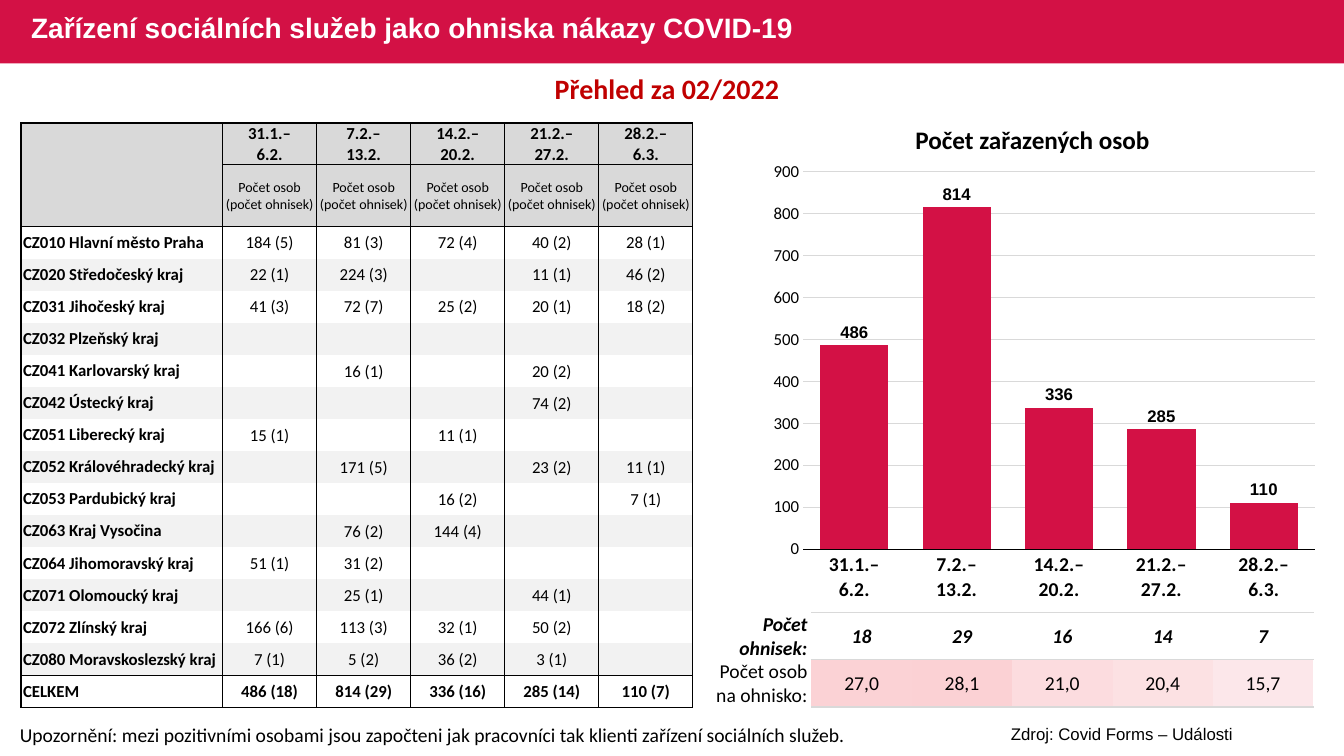
"""Build a slide on COVID-19 outbreaks in Czech social care facilities."""
from copy import deepcopy
from dataclasses import dataclass

from lxml import etree
from pptx import Presentation
from pptx.chart.data import CategoryChartData
from pptx.dml.color import RGBColor
from pptx.enum.chart import XL_CHART_TYPE, XL_LABEL_POSITION, XL_TICK_MARK
from pptx.enum.shapes import MSO_SHAPE
from pptx.enum.text import MSO_ANCHOR, MSO_AUTO_SIZE, PP_ALIGN
from pptx.oxml.ns import qn
from pptx.util import Cm, Pt

COLUMNS = XL_CHART_TYPE.COLUMN_CLUSTERED
OUTSIDE = XL_LABEL_POSITION.OUTSIDE_END
NO_TICK = XL_TICK_MARK.NONE
RECT = MSO_SHAPE.RECTANGLE
MIDDLE = MSO_ANCHOR.MIDDLE
NO_FIT = MSO_AUTO_SIZE.NONE
LEFT, CENTER, RIGHT = PP_ALIGN.LEFT, PP_ALIGN.CENTER, PP_ALIGN.RIGHT
PLAIN_TABLE = "{2D5ABB26-0587-4C30-8999-92F81FD0307C}"


@dataclass(frozen=True)
class Theme:
    red: str = "D31145"
    dark_red: str = "C00000"
    black: str = "000000"
    white: str = "FFFFFF"
    header: str = "D9D9D9"
    band: str = "F2F2F2"
    grid: str = "D9D9D9"
    body: str = "Calibri"
    heading: str = "Arial"
    title: int = 20
    subtitle: int = 18
    normal: int = 14
    small: int = 12
    tiny: int = 10


@dataclass(frozen=True)
class Box:
    left: float
    top: float
    width: float
    height: float

    def emu(self) -> tuple:
        return Cm(self.left), Cm(self.top), Cm(self.width), Cm(self.height)


@dataclass(frozen=True)
class Week:
    period: str
    persons: int
    outbreaks: int
    shade: str


@dataclass(frozen=True)
class Region:
    name: str
    counts: tuple


T = Theme()
WEEKS = [
    Week("31.1.–\n6.2.", 486, 18, "FBD2D5"),
    Week("7.2.–\n13.2.", 814, 29, "FBD1D4"),
    Week("14.2.–\n20.2.", 336, 16, "FCDCDF"),
    Week("21.2.–\n27.2.", 285, 14, "FCE1E3"),
    Week("28.2.–\n6.3.", 110, 7, "FCE7EA"),
]
REGIONS = [
    Region("CZ010 Hlavní město Praha", ("184 (5)", "81 (3)", "72 (4)", "40 (2)", "28 (1)")),
    Region("CZ020 Středočeský kraj", ("22 (1)", "224 (3)", "", "11 (1)", "46 (2)")),
    Region("CZ031 Jihočeský kraj", ("41 (3)", "72 (7)", "25 (2)", "20 (1)", "18 (2)")),
    Region("CZ032 Plzeňský kraj", ("", "", "", "", "")),
    Region("CZ041 Karlovarský kraj", ("", "16 (1)", "", "20 (2)", "")),
    Region("CZ042 Ústecký kraj", ("", "", "", "74 (2)", "")),
    Region("CZ051 Liberecký kraj", ("15 (1)", "", "11 (1)", "", "")),
    Region("CZ052 Královéhradecký kraj", ("", "171 (5)", "", "23 (2)", "11 (1)")),
    Region("CZ053 Pardubický kraj", ("", "", "16 (2)", "", "7 (1)")),
    Region("CZ063 Kraj Vysočina", ("", "76 (2)", "144 (4)", "", "")),
    Region("CZ064 Jihomoravský kraj", ("51 (1)", "31 (2)", "", "", "")),
    Region("CZ071 Olomoucký kraj", ("", "25 (1)", "", "44 (1)", "")),
    Region("CZ072 Zlínský kraj", ("166 (6)", "113 (3)", "32 (1)", "50 (2)", "")),
    Region("CZ080 Moravskoslezský kraj", ("7 (1)", "5 (2)", "36 (2)", "3 (1)", "")),
]


def rgb(color: str) -> RGBColor:
    return RGBColor.from_string(color)


def set_font(font, size: int, color: str = T.black, bold: bool = False,
             italic: bool = False, name: str = T.body) -> None:
    font.name, font.size, font.bold, font.italic = name, Pt(size), bold, italic
    font.color.rgb = rgb(color)


def write(tf, text: str, align=LEFT, **fmt) -> None:
    p = tf.paragraphs[0]
    p.alignment = align
    p.text = text.replace("\n", "\v")
    for r in p.runs:
        set_font(r.font, **fmt)
    for br in p._p.findall(qn("a:br")):
        br.insert(0, deepcopy(p.runs[0]._r.rPr))


def add_text(s, box: Box, text: str, **fmt) -> None:
    tf = s.shapes.add_textbox(*box.emu()).text_frame
    tf.word_wrap = True
    write(tf, text, **fmt)


def add_title(s, box: Box, band: Box, text: str) -> None:
    sp = s.shapes.add_shape(RECT, *band.emu())
    sp.shadow.inherit = False
    sp.fill.solid()
    sp.fill.fore_color.rgb = rgb(T.red)
    sp.line.fill.background()
    s.shapes._spTree.insert(2, sp._element)
    title = s.shapes.title
    title.left, title.top, title.width, title.height = box.emu()
    tf = title.text_frame
    tf.auto_size, tf.vertical_anchor, tf.margin_bottom = NO_FIT, MIDDLE, Cm(0.35)
    write(tf, text, size=T.title, color=T.white, bold=True, name=T.heading)
    tf.paragraphs[0].line_spacing = 0.9


def add_table(s, left: float, top: float, cols: list[float], rows: list[float]):
    box = Box(left, top, sum(cols), sum(rows))
    table = s.shapes.add_table(len(rows), len(cols), *box.emu()).table
    table.first_row = table.horz_banding = False
    table._tbl.tblPr.find(qn("a:tableStyleId")).text = PLAIN_TABLE
    for col, width in zip(table.columns, cols):
        col.width = Cm(width)
    for row, height in zip(table.rows, rows):
        row.height = Cm(height)
    return table


def fill_cell(cell, text: str, borders: dict[str, float], fill: str = "",
              line: str = T.black, margin: float = 0.03, top: float = 0.02, **fmt) -> None:
    cell.vertical_anchor = MIDDLE
    cell.margin_left = cell.margin_right = Cm(margin)
    cell.margin_top, cell.margin_bottom = Cm(top), 0
    tcPr = cell._tc.get_or_add_tcPr()
    for side in "LRTB":
        ln = etree.SubElement(tcPr, qn(f"a:ln{side}"), w=str(Pt(borders.get(side, 0))))
        if side in borders:
            solid = etree.SubElement(ln, qn("a:solidFill"))
            etree.SubElement(solid, qn("a:srgbClr"), val=line)
        else:
            etree.SubElement(ln, qn("a:noFill"))
    if fill:
        cell.fill.solid()
        cell.fill.fore_color.rgb = rgb(fill)
    write(cell.text_frame, text, **fmt)


def add_region_table(s) -> None:
    heights = [1.04, 1.57] + [12.12 / (len(REGIONS) + 1)] * (len(REGIONS) + 1)
    table = add_table(s, 0.53, 3.1, [5.08] + [2.37] * len(WEEKS), heights)
    sides, frame = {"L": 1, "R": 1}, dict.fromkeys("LRTB", 1)
    fill_cell(table.cell(0, 0), "", sides | {"T": 1}, T.header)
    fill_cell(table.cell(1, 0), "", sides | {"B": 0.5}, T.header)
    for c, week in enumerate(WEEKS, 1):
        fill_cell(table.cell(0, c), week.period, frame, T.header,
                  align=CENTER, size=T.small, bold=True)
        fill_cell(table.cell(1, c), "Počet osob (počet ohnisek)", frame | {"B": 0.5},
                  T.header, align=CENTER, size=T.tiny)
    total = Region("CELKEM", tuple(f"{w.persons} ({w.outbreaks})" for w in WEEKS))
    edges = {REGIONS[0]: sides | {"T": 0.5}, REGIONS[-1]: sides | {"B": 1}, total: frame}
    for i, region in enumerate(REGIONS + [total]):
        borders = edges.get(region, sides)
        fill = T.band if i % 2 else ""
        fill_cell(table.cell(i + 2, 0), region.name, borders, fill,
                  margin=0.05, top=0, size=T.small, bold=True)
        for c, count in enumerate(region.counts, 1):
            fill_cell(table.cell(i + 2, c), count, borders, fill,
                      align=CENTER, size=T.small, bold=region is total)


def add_outbreak_values(s) -> None:
    table = add_table(s, 20.45, 15.44, [2.53] * len(WEEKS), [1.18] * 2)
    for c, week in enumerate(WEEKS):
        ratio = f"{week.persons / week.outbreaks:.1f}".replace(".", ",")
        fill_cell(table.cell(0, c), str(week.outbreaks), {}, align=CENTER,
                  size=T.normal, bold=True, italic=True)
        fill_cell(table.cell(1, c), ratio, {}, week.shade, align=CENTER, size=T.normal)


def add_outbreak_labels(s) -> None:
    table = add_table(s, 17.88, 15.44, [2.57] + [1.81] * 7, [1.18] * 2)
    for r, (label, strong) in enumerate([("Počet ohnisek:", True),
                                         ("Počet osob na ohnisko:", False)]):
        fill_cell(table.cell(r, 0), label, {}, margin=0.1, top=0, align=RIGHT,
                  size=T.normal, bold=strong, italic=strong)
        for c in range(1, 8):
            fill_cell(table.cell(r, c), "", {"T": 1, "B": 1}, line=T.grid)


def add_person_chart(s, box: Box, inner: Box) -> None:
    data = CategoryChartData()
    data.categories = [w.period for w in WEEKS]
    data.add_series("Počet zařazených osob", [w.persons for w in WEEKS])
    chart = s.shapes.add_chart(COLUMNS, *box.emu(), data).chart
    chart.has_title = chart.has_legend = False
    set_font(chart.font, T.normal, bold=True, name=T.heading)
    plot = chart.plots[0]
    plot.gap_width, plot.vary_by_categories, plot.has_data_labels = 50, False, True
    labels = plot.data_labels
    labels.show_value, labels.position = True, OUTSIDE
    set_font(labels.font, T.small, bold=True, name=T.heading)
    bars = plot.series[0].format.fill
    bars.solid()
    bars.fore_color.rgb = rgb(T.red)
    cat, val = chart.category_axis, chart.value_axis
    for axis, size in ((cat, T.normal), (val, T.small)):
        axis.major_tick_mark = axis.minor_tick_mark = NO_TICK
        set_font(axis.tick_labels.font, size, bold=axis is cat)
    val.minimum_scale, val.maximum_scale, val.major_unit = 0, 900, 100
    val.format.line.fill.background()
    for line, color in ((cat.format.line, T.black), (val.major_gridlines.format.line, T.grid)):
        line.color.rgb, line.width = rgb(color), Pt(0.75)
    area = chart._chartSpace.chart.plotArea
    for old in area.findall(qn("c:layout")):
        area.remove(old)
    layout = etree.Element(qn("c:layout"))
    area.insert(0, layout)
    manual = etree.SubElement(layout, qn("c:manualLayout"))
    for tag, value in (("layoutTarget", "inner"), ("xMode", "edge"), ("yMode", "edge"),
                       ("x", (inner.left - box.left) / box.width),
                       ("y", (inner.top - box.top) / box.height),
                       ("w", inner.width / box.width), ("h", inner.height / box.height)):
        etree.SubElement(manual, qn(f"c:{tag}"), val=str(value))


def main() -> None:
    prs = Presentation()
    prs.slide_width, prs.slide_height = Cm(33.87), Cm(19.05)
    s = prs.slides.add_slide(prs.slide_layouts[5])
    add_title(s, Box(0.53, 0.05, 20.65, 1.6), Box(0, 0, 33.87, 1.6),
              "Zařízení sociálních služeb jako ohniska nákazy COVID-19")
    add_outbreak_values(s)
    add_text(s, Box(0.25, 18.08, 21.64, 0.86),
             "Upozornění: mezi pozitivními osobami jsou započteni jak pracovníci "
             "tak klienti zařízení sociálních služeb.", size=T.normal)
    add_text(s, Box(0.53, 1.68, 32.56, 1.12), "Přehled za 02/2022",
             align=CENTER, size=T.title, color=T.dark_red, bold=True)
    add_text(s, Box(22.94, 18.11, 10.67, 0.76), "Zdroj: Covid Forms – Události",
             align=CENTER, size=T.small, name=T.heading)
    add_region_table(s)
    add_person_chart(s, Box(19.2, 3.84, 14.25, 11.56), Box(20.24, 4.32, 12.9, 9.52))
    add_text(s, Box(19.2, 3.02, 13.64, 1.02), "Počet zařazených osob",
             align=CENTER, size=T.subtitle, bold=True)
    add_outbreak_labels(s)
    prs.save("out.pptx")


if __name__ == "__main__":
    main()
